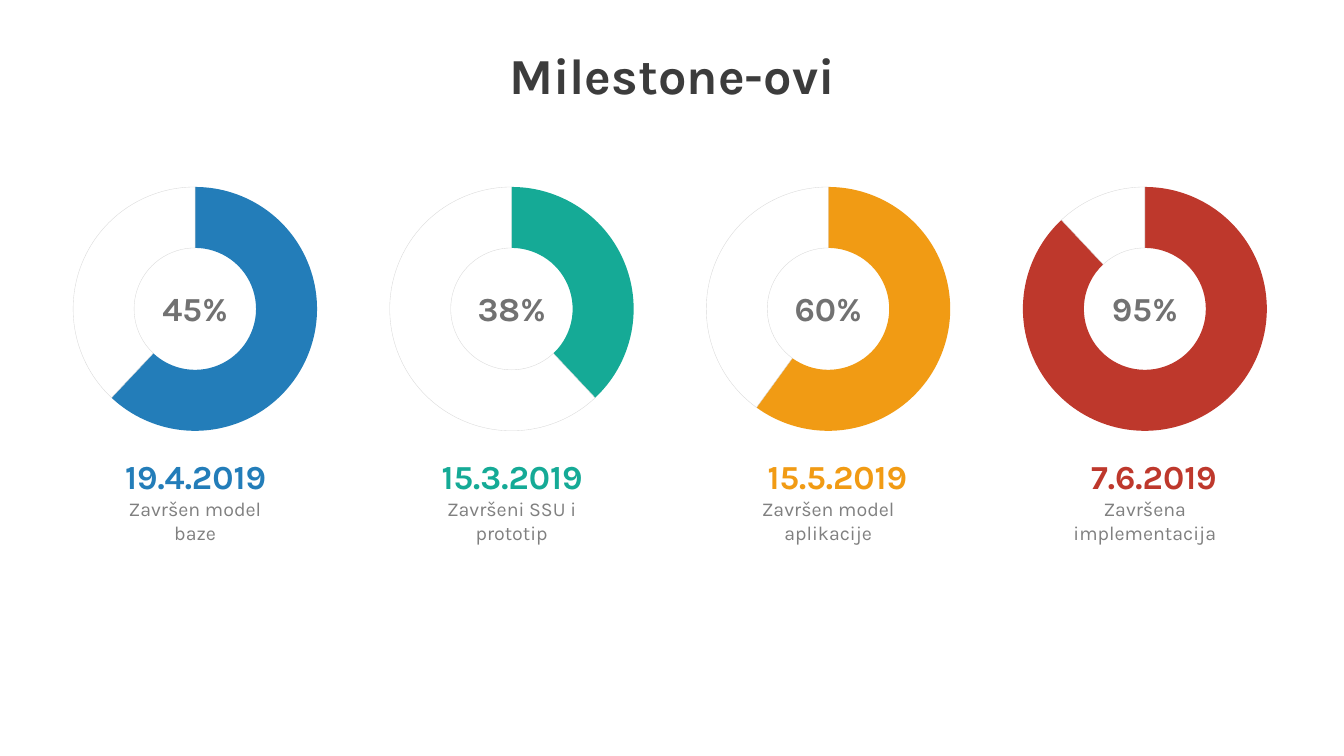
import dataclasses

import lxml.etree
import pptx
import pptx.chart.data
import pptx.dml.color
import pptx.enum.chart
import pptx.enum.text
import pptx.oxml.ns
import pptx.util

Inches = pptx.util.Inches
Pt = pptx.util.Pt


@dataclasses.dataclass(frozen=True)
class Theme:
    """Colours, font and type sizes of the slide."""
    font: str = "Karla"
    title: str = "3C3C3C"
    percent: str = "727272"
    caption: str = "808080"
    chart_text: str = "262626"
    ring: str = "D9D9D9"
    blue: str = "237DB9"
    green: str = "15AA96"
    orange: str = "F19B14"
    red: str = "BE382C"
    title_size: int = 36
    figure_size: int = 24
    chart_size: int = 18
    caption_size: int = 14


THEME = Theme()
FIRST_LEFT, PITCH = 0.3, 3.14
MILESTONES = [
    ("45%", 62, "19.4.2019", "Završen model baze", THEME.blue, 2.26),
    ("38%", 38, "15.3.2019", "Završeni SSU i prototip", THEME.green, 2.26),
    ("60%", 60, "15.5.2019", "Završen model aplikacije", THEME.orange, 2.43),
    ("95%", 88, "7.6.2019", "Završena implementacija", THEME.red, 2.43),
]


def apply(target, values):
    """Set each named attribute of the target."""
    for name, value in values.items():
        setattr(target, name, value)


def rgb(colour):
    """Turn a hex string into a colour value."""
    return pptx.dml.color.RGBColor.from_string(colour)


def style_font(font, size, colour, bold=False):
    """Format a font in the theme typeface."""
    apply(font, {"name": THEME.font, "size": Pt(size), "bold": bold})
    font.color.rgb = rgb(colour)


def write_line(frame, text, size, colour, bold, line_spacing, space_before):
    """Fill a text frame with one centred paragraph."""
    paragraph = frame.paragraphs[0]
    apply(paragraph, {
        "alignment": pptx.enum.text.PP_ALIGN.CENTER,
        "line_spacing": line_spacing,
        "space_before": Pt(space_before),
    })
    run = paragraph.add_run()
    run.text = text
    style_font(run.font, size, colour, bold)


def add_title(slide, text):
    """Place and format the slide title."""
    title = slide.shapes.title
    apply(title, {"left": Inches(3.25), "top": Inches(0.54),
                  "width": Inches(6.83), "height": Inches(0.57)})
    apply(title.text_frame, {
        "word_wrap": True,
        "vertical_anchor": pptx.enum.text.MSO_ANCHOR.TOP,
        "auto_size": pptx.enum.text.MSO_AUTO_SIZE.NONE,
    })
    write_line(title.text_frame, text, THEME.title_size, THEME.title, True, Pt(32), 0)


def add_label(slide, text, left, top, width, size, colour, bold, line_spacing):
    """Add a centred text box."""
    label = slide.shapes.add_textbox(
        Inches(left), Inches(top), Inches(width), Inches(0.69))
    apply(label.text_frame, {
        "word_wrap": True,
        "margin_left": Inches(0.13), "margin_right": Inches(0.13),
        "margin_top": Inches(0.07), "margin_bottom": Inches(0.07),
    })
    write_line(label.text_frame, text, size, colour, bold, line_spacing, size * 0.2)


def set_plot_layout(chart, bounds):
    """Fix the inner plot area as fractions of the chart."""
    qn = pptx.oxml.ns.qn
    plot_area = chart.plots[0]._element.getparent()
    for old in plot_area.findall(qn("c:layout")):
        plot_area.remove(old)
    layout = lxml.etree.Element(qn("c:layout"))
    manual = lxml.etree.SubElement(layout, qn("c:manualLayout"))
    settings = {"layoutTarget": "inner", "xMode": "edge", "yMode": "edge", **bounds}
    for tag, value in settings.items():
        lxml.etree.SubElement(manual, qn(f"c:{tag}")).set("val", str(value))
    plot_area.insert(0, layout)


def add_ring(slide, left, share, colour):
    """Add a doughnut whose first part is coloured and whose rest is outlined."""
    ring_data = pptx.chart.data.CategoryChartData()
    ring_data.categories = ["1", "2"]
    ring_data.add_series("Series 1", (share, 100 - share))
    chart = slide.shapes.add_chart(
        pptx.enum.chart.XL_CHART_TYPE.DOUGHNUT, Inches(left), Inches(1.72),
        Inches(3.27), Inches(2.69), ring_data).chart
    apply(chart, {"has_legend": False, "has_title": False})
    style_font(chart.font, THEME.chart_size, THEME.chart_text)
    plot = chart.plots[0]
    apply(plot, {"vary_by_categories": True, "has_data_labels": False})
    plot._element.find(pptx.oxml.ns.qn("c:holeSize")).set("val", "75")
    done, rest = (plot.series[0].points[i].format for i in range(2))
    done.fill.solid()
    done.fill.fore_color.rgb = rgb(colour)
    done.line.fill.background()
    rest.fill.background()
    rest.line.color.rgb = rgb(THEME.ring)
    rest.line.width = Pt(0.25)
    set_plot_layout(chart, {"x": 0.13, "y": 0.05, "w": 0.74, "h": 0.9})


def add_milestone(slide, left, percent, share, date, caption, colour, date_width):
    """Add a ring with its percentage, date and caption."""
    add_ring(slide, left, share, colour)
    add_label(slide, caption, left + 0.71, 4.86, 1.85,
              THEME.caption_size, THEME.caption, False, 1.0)
    add_label(slide, percent, left + 0.71, 2.71, 1.85,
              THEME.figure_size, THEME.percent, True, 1.2)
    add_label(slide, date, left + 0.51, 4.37, date_width,
              THEME.figure_size, colour, True, 1.2)


def main():
    """Build and save the milestone slide."""
    deck = pptx.Presentation()
    apply(deck, {"slide_width": Inches(13.33), "slide_height": Inches(7.5)})
    slide = deck.slides.add_slide(deck.slide_layouts.get_by_name("Title Only"))
    for index, milestone in enumerate(MILESTONES):
        add_milestone(slide, FIRST_LEFT + index * PITCH, *milestone)
    add_title(slide, "Milestone-ovi")
    deck.save("out.pptx")


if __name__ == "__main__":
    main()
